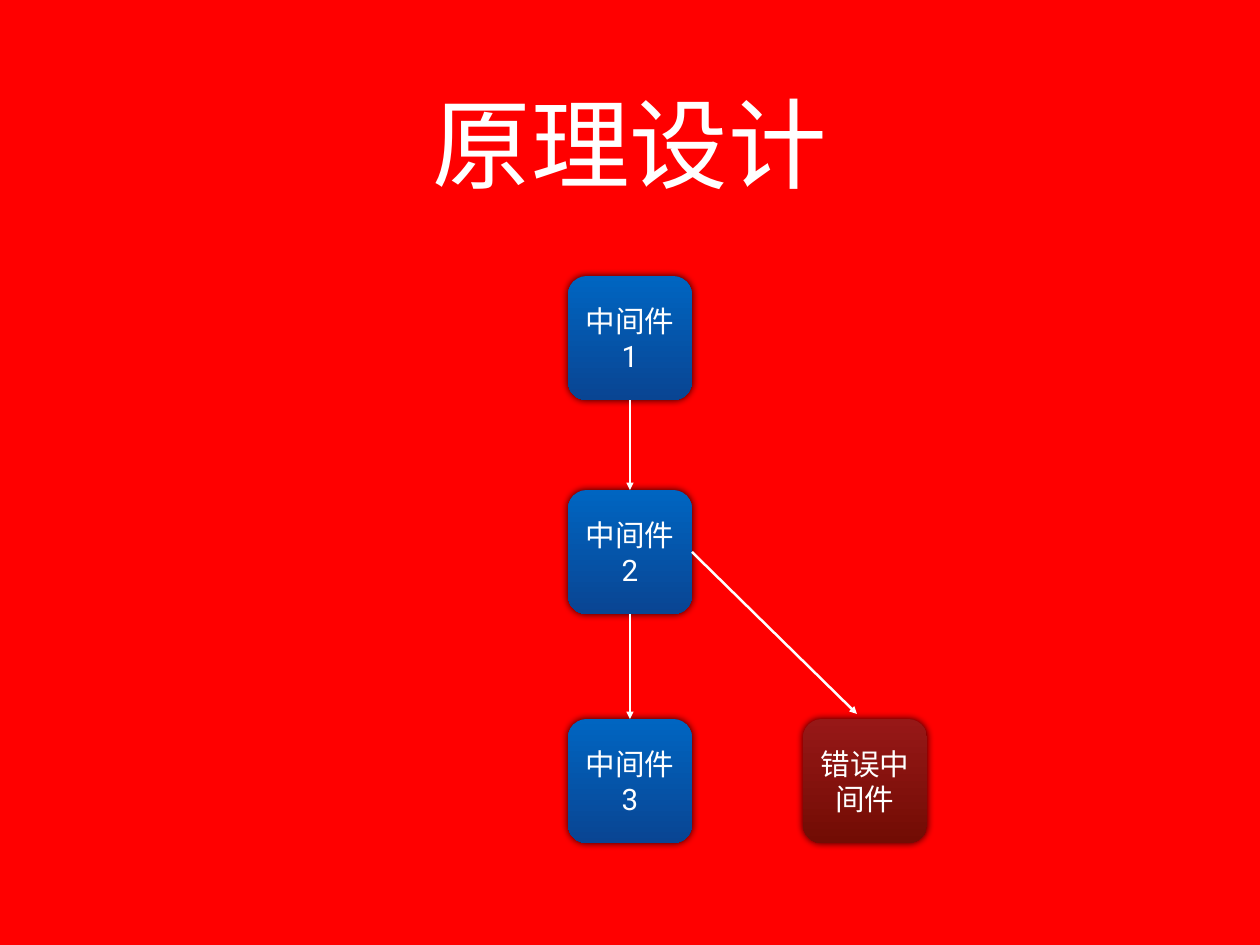
import pptx
import pptx.dml.color
import pptx.enum.shapes
import pptx.enum.text
import pptx.oxml
import pptx.oxml.ns
import pptx.util

PX = 10321
BOX = 124
MIDDLE_X, ERROR_X = 568, 803
ROWS = (276, 490, 719)
WHITE = "FFFFFF"
BLUE = ("0065C1", "094593")
DARK_RED = ("971817", "720C04")
FRAME = {
    "word_wrap": True,
    "vertical_anchor": pptx.enum.text.MSO_ANCHOR.MIDDLE,
    "margin_left": 5 * PX,
    "margin_right": 5 * PX,
    "margin_top": 5 * PX,
    "margin_bottom": 5 * PX,
}
SHADOW = (
    '<a:effectLst %s><a:outerShdw blurRad="76200" dist="0" dir="18900000" rotWithShape="0">'
    '<a:srgbClr val="000000"><a:alpha val="80000"/></a:srgbClr></a:outerShdw></a:effectLst>'
)
NO_EFFECT = "<a:effectLst %s/>"
ARROWHEAD = '<a:tailEnd %s type="triangle"/>'


def rgb(value):
    """Return the colour for a hex string."""
    return pptx.dml.color.RGBColor.from_string(value)


def xml(template):
    """Return the DrawingML element for a template."""
    return pptx.oxml.parse_xml(template % pptx.oxml.ns.nsdecls("a"))


def set_text(sp, text, size):
    """Write centred white text into a shape."""
    tf = sp.text_frame
    for name, value in FRAME.items():
        setattr(tf, name, value)
    p = tf.paragraphs[0]
    p.alignment = pptx.enum.text.PP_ALIGN.CENTER
    r = p.add_run()
    r.text = text
    for name, value in {"name": "Roboto", "size": pptx.util.Pt(size)}.items():
        setattr(r.font, name, value)
    r.font.color.rgb = rgb(WHITE)


def add_title(s, text, x, y, w, h):
    """Add the slide heading."""
    sp = s.shapes.add_textbox(x * PX, y * PX, w * PX, h * PX)
    set_text(sp, text, 80)


def add_box(s, text, x, y, colors):
    """Add a rounded middleware box with a gradient and a soft shadow."""
    kind = pptx.enum.shapes.MSO_SHAPE.ROUNDED_RECTANGLE
    sp = s.shapes.add_shape(kind, x * PX, y * PX, BOX * PX, BOX * PX)
    sp.adjustments[0] = 0.15
    sp.fill.gradient()
    sp.fill.gradient_angle = 270
    for stop, color, position in zip(sp.fill.gradient_stops, colors, (0, 1)):
        stop.color.rgb = rgb(color)
        stop.position = position
    sp.line.fill.background()
    sp._element.spPr.append(xml(SHADOW))
    set_text(sp, text, 24)
    return sp


def add_arrow(s, start, side, end=None, x=0, y=0):
    """Add an arrow from a box side to the top of a box or to a point."""
    kind = pptx.enum.shapes.MSO_CONNECTOR.STRAIGHT
    c = s.shapes.add_connector(kind, 0, 0, x * PX, y * PX)
    c.begin_connect(start, side)
    if end is not None:
        c.end_connect(end, 0)
    c.line.color.rgb = rgb(WHITE)
    c.line.width = pptx.util.Pt(2)
    c.line._get_or_add_ln().append(xml(ARROWHEAD))
    c._element.spPr.append(xml(NO_EFFECT))


def main():
    """Build and save the middleware slide."""
    prs = pptx.Presentation()
    prs.slide_width, prs.slide_height = 1260 * PX, 945 * PX
    s = prs.slides.add_slide(prs.slide_layouts[6])
    s.background.fill.solid()
    s.background.fill.fore_color.rgb = rgb("FF0000")
    add_title(s, "原理设计", 92, 39, 1076, 206)
    boxes = [add_box(s, f"中间件{i}", MIDDLE_X, y, BLUE) for i, y in enumerate(ROWS, 1)]
    add_box(s, "错误中间件", ERROR_X, ROWS[-1], DARK_RED)
    for upper, lower in zip(boxes, boxes[1:]):
        add_arrow(s, upper, 2, lower)
    add_arrow(s, boxes[1], 3, x=857, y=714)
    prs.save("out.pptx")


if __name__ == "__main__":
    main()
